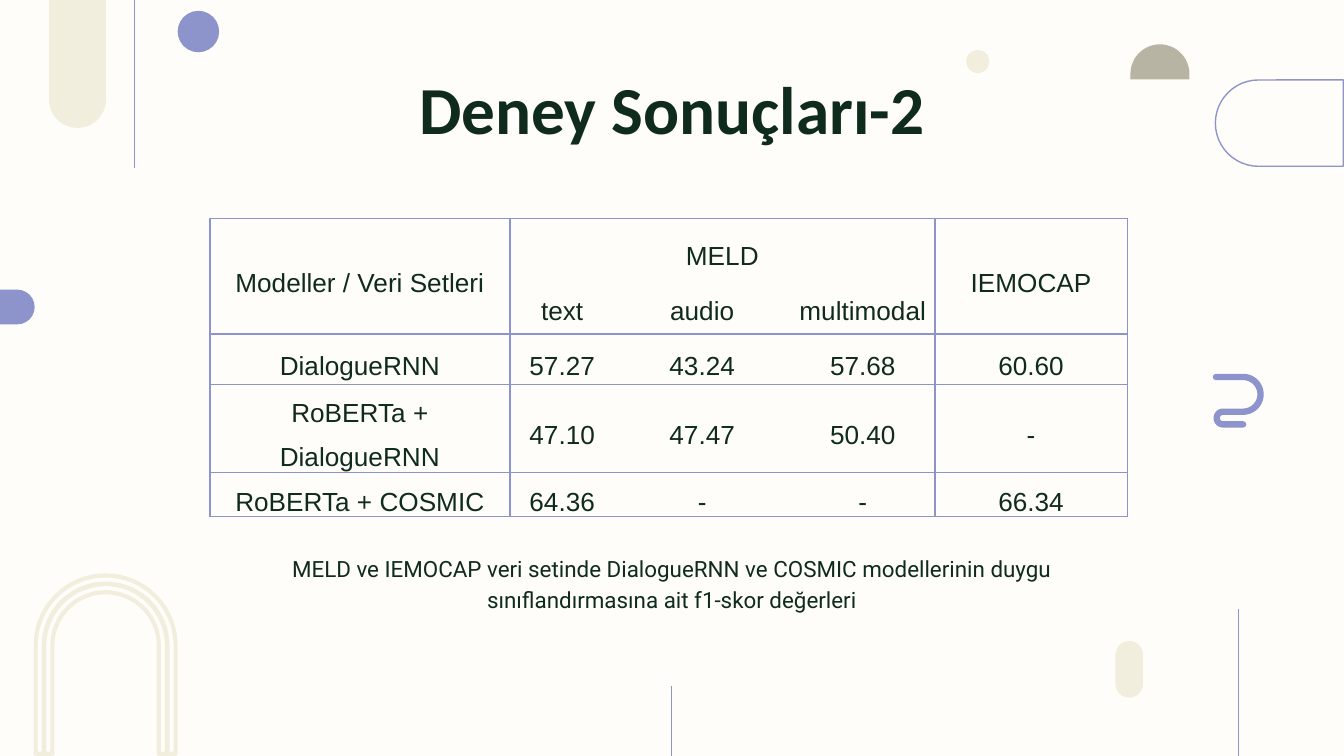
"""Build the slide of test results: title, score table, caption and ornaments."""
from math import cos, pi, sin

from lxml.etree import SubElement
from pptx import Presentation
from pptx.dml.color import RGBColor
from pptx.enum.shapes import MSO_CONNECTOR as Link, MSO_SHAPE as Kind
from pptx.enum.text import MSO_ANCHOR as Anchor, MSO_AUTO_SIZE as Fit, PP_ALIGN as Align
from pptx.oxml.ns import qn
from pptx.util import Pt

HEX = {"paper": "FFFDF9", "ink": "0F2B1C", "blue": "8D94CC", "sand": "F1EEDD", "stone": "B7B4A3"}
TONE = {name: RGBColor.from_string(code) for name, code in HEX.items()}


def arc(x, y, r, start, end):
    """Return the points of an arc, with angles in half turns."""
    turns = [pi * (start + (end - start) * i / 32) for i in range(33)]
    return [(x + r * cos(t), y + r * sin(t)) for t in turns]


def write(para, text, font, size, bold=False):
    """Add one centred run of text."""
    para.alignment = Align.CENTER
    run = para.add_run()
    run.text = text
    run.font.name, run.font.size, run.font.bold = font, Pt(size), bold
    run.font.color.rgb = TONE["ink"]


deck = Presentation()
deck.slide_width, deck.slide_height = Pt(720), Pt(405)
slide = deck.slides.add_slide(deck.slide_layouts[0])
slide.background.fill.solid()
slide.background.fill.fore_color.rgb = TONE["paper"]
shapes = slide.shapes

solids = [
    (Kind.ROUNDED_RECTANGLE, 597.6, 343.4, 14.8, 30.4, "sand"),
    (Kind.OVAL, 95.2, 5.8, 22.2, 22.2, "blue"),
    (Kind.OVAL, 517.6, 26.8, 12.4, 12.4, "sand"),
    (Kind.FLOWCHART_DELAY, 0, 155.2, 18.6, 18.6, "blue"),
    (Kind.ROUND_2_SAME_RECTANGLE, 26.2, 0, 30.6, 68.5, "sand"),
    (Kind.ROUND_2_SAME_RECTANGLE, 662.2, 31.7, 46.3, 68.5, None),
]
for kind, x, y, w, h, tone in solids:
    shape = shapes.add_shape(kind, Pt(x), Pt(y), Pt(w), Pt(h))
    shape.shadow.inherit = False
    if len(shape.adjustments):
        shape.adjustments[0] = 0.5
    if tone:
        shape.fill.solid()
        shape.fill.fore_color.rgb = TONE[tone]
        shape.line.fill.background()
        if kind == Kind.ROUND_2_SAME_RECTANGLE:
            shape.rotation = 180
    else:
        shape.fill.background()
        shape.line.color.rgb, shape.line.width = TONE["blue"], Pt(0.75)
        shape.rotation = 270

outer, middle, inner = [
    [(56.6 - r, 403.8)] + arc(56.6, 345.8, r, 1, 2) + [(56.6 + r, 403.8)]
    for r in (37.5, 33, 28.5)
]
dome = [(605.6, 42.5)] + arc(621.4, 39.6, 15.8, 1, 2) + [(637.2, 42.5)]
curl = ([(651.4, 202)] + arc(666, 211.3, 9.3, -0.5, 0.5)
        + arc(655.2, 224, 3.4, 1.5, 0.5) + [(666, 227.4)])
paths = [
    (outer + inner[::-1], True, "sand", 2.2),
    (middle, False, "sand", 2.5),
    (dome, True, "stone", 0),
    (curl, False, "blue", 3.4),
]
for points, closed, tone, width in paths:
    first, *rest = [(Pt(x), Pt(y)) for x, y in points]
    pen = shapes.build_freeform(*first)
    pen.add_line_segments(rest, close=closed)
    shape = pen.convert_to_shape()
    shape.shadow.inherit = False
    if width:
        shape.fill.background()
        shape.line.color.rgb, shape.line.width = TONE[tone], Pt(width)
    else:
        shape.fill.solid()
        shape.fill.fore_color.rgb = TONE[tone]
        shape.line.fill.background()
    if points is curl:
        shape._element.spPr.find(qn("a:ln")).set("cap", "rnd")

for x, top, end in [(72.2, 0, 90), (663.4, 326.2, 405), (359.8, 367.4, 405)]:
    line = shapes.add_connector(Link.STRAIGHT, Pt(x), Pt(top), Pt(x), Pt(end))
    line.line.color.rgb, line.line.width = TONE["blue"], Pt(0.75)
    SubElement(line._element.spPr, qn("a:effectLst"))

title, note = slide.placeholders
texts = [
    (title, (56.6, 36.6, 607, 49.8), Anchor.BOTTOM, 1, "Deney Sonuçları-2", "Calibri", 36, True),
    (note, (112.4, 288.2, 495.2, 74), Anchor.TOP, 1.15,
     "MELD ve IEMOCAP veri setinde DialogueRNN ve COSMIC modellerinin duygu "
     "sınıflandırmasına ait f1-skor değerleri", "Roboto", 12, False),
]
for holder, box, anchor, space, text, font, size, bold in texts:
    holder.left, holder.top, holder.width, holder.height = map(Pt, box)
    frame = holder.text_frame
    frame.word_wrap, frame.auto_size, frame.vertical_anchor = True, Fit.NONE, anchor
    frame.margin_left = frame.margin_right = frame.margin_top = frame.margin_bottom = Pt(7.2)
    para = frame.paragraphs[0]
    para.line_spacing, para.space_before = space, Pt(0)
    write(para, text, font, size, bold)

rows = [
    ("Modeller / Veri Setleri", "MELD\n\ttext\taudio\tmultimodal", "IEMOCAP"),
    ("DialogueRNN", "\t57.27\t43.24\t57.68", "60.60"),
    ("RoBERTa + DialogueRNN", "\t47.10\t47.47\t50.40", "-"),
    ("RoBERTa + COSMIC", "\t64.36\t-\t-", "66.34"),
]
table = shapes.add_table(4, 3, Pt(112.4), Pt(117), Pt(491.6), Pt(158.4)).table
table.first_row = table.horz_banding = False
for col, width in zip(table.columns, (160.8, 227.6, 103.2)):
    col.width = Pt(width)
for row, height in zip(table.rows, (62, 27, 47, 22.4)):
    row.height = Pt(height)
for row, words in zip(table.rows, rows):
    for cell, text in zip(row.cells, words):
        cell.vertical_anchor = Anchor.MIDDLE
        cell.margin_left = cell.margin_right = cell.margin_top = cell.margin_bottom = 0
        for side in ("lnL", "lnR", "lnT", "lnB"):
            edge = SubElement(cell._tc.get_or_add_tcPr(), qn("a:" + side), w=str(Pt(1)))
            fill = SubElement(edge, qn("a:solidFill"))
            SubElement(fill, qn("a:srgbClr"), val=HEX["blue"])
        cell.fill.background()
        for i, part in enumerate(text.split("\n")):
            frame = cell.text_frame
            para = frame.add_paragraph() if i else frame.paragraphs[0]
            para.line_spacing, para.space_before = 1.5, Pt(6)
            write(para, part, "Arial", 14)
            if "\t" in part:
                para.alignment = Align.LEFT
                stops = SubElement(para._p.get_or_add_pPr(), qn("a:tabLst"))
                for stop in (28, 103, 189):
                    SubElement(stops, qn("a:tab"), pos=str(Pt(stop)), algn="ctr")

deck.save("out.pptx")
